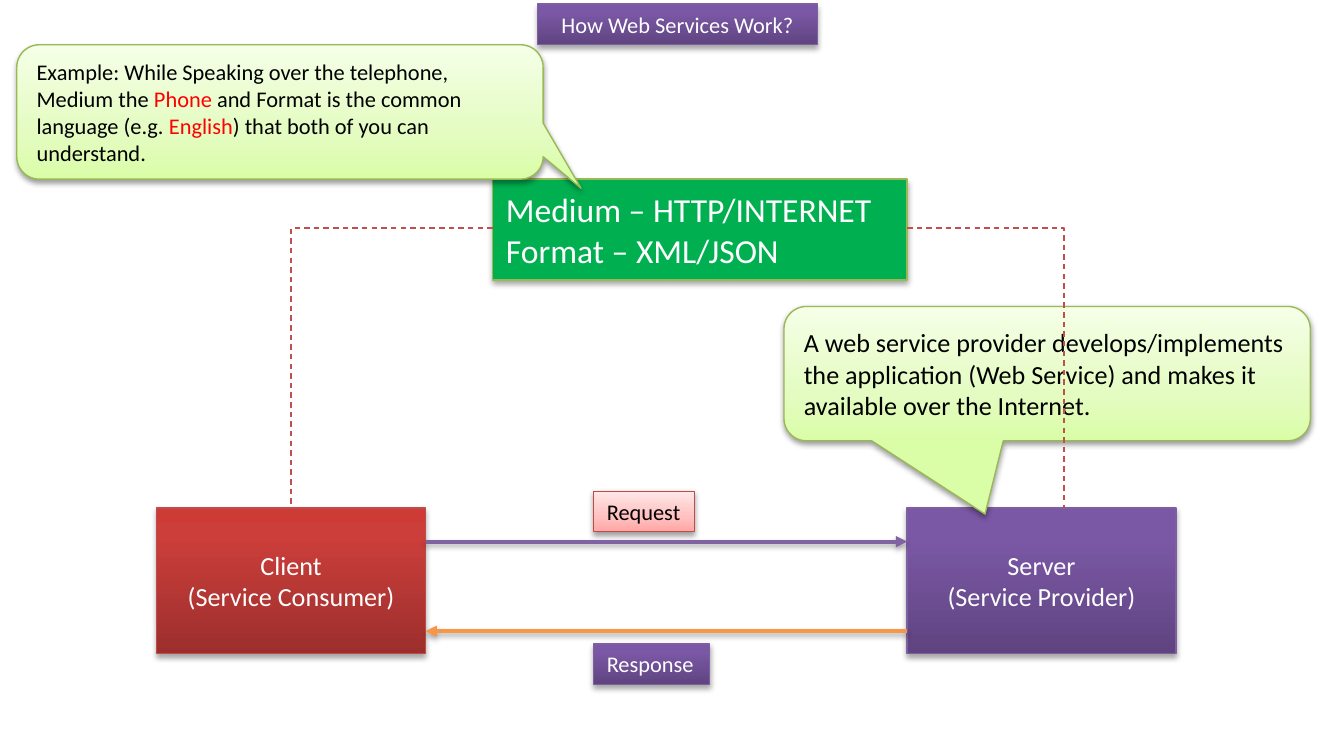
"""Build the "How Web Services Work?" diagram slide."""
import pptx
import pptx.util
from lxml import etree
from pptx.dml.color import RGBColor
from pptx.enum.dml import MSO_LINE
from pptx.enum.shapes import MSO_CONNECTOR, MSO_SHAPE
from pptx.enum.text import MSO_ANCHOR, MSO_AUTO_SIZE, PP_ALIGN
from pptx.oxml import parse_xml
from pptx.oxml.ns import nsdecls, qn

PX = 9525
COLORS = {
    "white": "FFFFFF", "black": "000000", "red": "FF0000",
    "violet": "8064A2", "orange": "F79646", "brick": "C0504D",
}
STYLES = {
    "purple": {"stops": [(0, "5F4480"), (80, "7B58A6"), (100, "7C57A8")],
               "line": "7D60A0", "text": "white", "shadow": (35, 1.8)},
    "red": {"stops": [(0, "9C2F2D"), (80, "CB3E3A"), (100, "CE3B37")],
            "line": "BF4C48", "text": "white", "shadow": (35, 1.8)},
    "pink": {"stops": [(0, "FFA6A5"), (35, "FFC0BF"), (100, "FFE7E7")],
             "line": "BF4C48", "text": "black", "shadow": (38, 1.6)},
    "lime": {"stops": [(0, "DAFDA7"), (35, "E4FCC2"), (100, "F5FFE7")],
             "line": "98B955", "text": "black", "shadow": (38, 1.6)},
    "green": {"solid": "00B050",
              "line": "98B955", "text": "white", "shadow": (35, 1.8)},
}
BOXES = [
    {"at": (384, 3, 200, 29), "style": "purple", "size": 12, "center": True, "fit": True,
     "text": [["How Web Services Work?"]]},
    {"at": (648, 363, 192, 104), "style": "purple", "size": 14, "center": True,
     "text": [["Server"], ["(Service Provider)"]]},
    {"at": (560, 219, 376, 96), "style": "lime", "size": 14, "tail": (-0.118, 1.046, 0.167),
     "text": [["A web service provider develops/implements the application "
               "(Web Service) and makes it available over the Internet."]]},
    {"at": (112, 363, 192, 104), "style": "red", "size": 14, "center": True,
     "text": [["Client"], ["(Service Consumer)"]]},
    {"at": (424, 351, 72, 29), "style": "pink", "size": 12, "fit": True, "wrap": False,
     "text": [["Request"]]},
    {"at": (424, 460, 83, 29), "style": "purple", "size": 12, "fit": True, "wrap": False,
     "text": [["Response"]]},
    {"at": (352, 128, 296, 72), "style": "green", "size": 18,
     "text": [["Medium – HTTP/INTERNET"], ["Format – XML/JSON"]]},
    {"at": (12, 32, 376, 96), "style": "lime", "size": 12, "tail": (0.572, 0.568, 0.167),
     "text": [["Example: While Speaking over the telephone, Medium the ", ("Phone", "red"),
               " and Format is the common language (e.g. ", ("English", "red"),
               ") that both of you can understand."]]},
]
ARROWS = [((304, 387), (648, 387), "violet"), ((648, 451), (304, 451), "orange")]
LINKS = [((352, 163), (208, 363)), ((648, 163), (760, 363))]


def rgb(value):
    return RGBColor.from_string(value)


def add_shadow(sp, alpha, dist):
    spPr = sp._element.spPr
    for old in spPr.findall(qn("a:effectLst")):
        spPr.remove(old)
    spPr.append(parse_xml(
        f'<a:effectLst {nsdecls("a")}><a:outerShdw blurRad="{round(3.1 * 12700)}" '
        f'dist="{round(dist * 12700)}" dir="5400000" rotWithShape="0"><a:srgbClr val="000000">'
        f'<a:alpha val="{alpha * 1000}"/></a:srgbClr></a:outerShdw></a:effectLst>'))


def set_fill(sp, style):
    if "solid" in style:
        sp.fill.solid()
        sp.fill.fore_color.rgb = rgb(style["solid"])
        return
    sp.fill.gradient()
    sp.fill.gradient_angle = 90
    gs_list = sp._element.spPr.find(qn("a:gradFill")).find(qn("a:gsLst"))
    for gs in list(gs_list):
        gs_list.remove(gs)
    for pos, color in style["stops"]:
        gs = etree.SubElement(gs_list, qn("a:gs"), pos=str(pos * 1000))
        etree.SubElement(gs, qn("a:srgbClr"), val=color)


def add_text(tf, box, color):
    tf.word_wrap = box.get("wrap", True)
    fit = box.get("fit", False)
    tf.auto_size = MSO_AUTO_SIZE.SHAPE_TO_FIT_TEXT if fit else MSO_AUTO_SIZE.NONE
    tf.vertical_anchor = MSO_ANCHOR.TOP if fit else MSO_ANCHOR.MIDDLE
    for i, runs in enumerate(box["text"]):
        p = tf.add_paragraph() if i else tf.paragraphs[0]
        p.alignment = PP_ALIGN.CENTER if box.get("center") else PP_ALIGN.LEFT
        for run in runs:
            text, name = (run, color) if isinstance(run, str) else run
            r = p.add_run()
            r.text = text
            r.font.name = "Calibri"
            r.font.size = pptx.util.Pt(box["size"])
            r.font.color.rgb = rgb(COLORS[name])


def add_box(s, box):
    style = STYLES[box["style"]]
    kind = MSO_SHAPE.ROUNDED_RECTANGULAR_CALLOUT if "tail" in box else MSO_SHAPE.RECTANGLE
    sp = s.shapes.add_shape(kind, *(v * PX for v in box["at"]))
    for i, value in enumerate(box.get("tail", ())):
        sp.adjustments[i] = value
    sp.shadow.inherit = False
    set_fill(sp, style)
    sp.line.color.rgb = rgb(style["line"])
    sp.line.width = pptx.util.Pt(0.75)
    add_shadow(sp, *style["shadow"])
    add_text(sp.text_frame, box, style["text"])


def add_line(s, kind, start, end, color, width):
    c = s.shapes.add_connector(kind, *(v * PX for v in start + end))
    c.line.color.rgb = rgb(COLORS[color])
    c.line.width = pptx.util.Pt(width)
    return c


def main():
    prs = pptx.Presentation()
    prs.slide_width, prs.slide_height = 960 * PX, 528 * PX
    s = prs.slides.add_slide(prs.slide_layouts[6])
    for box in BOXES:
        add_box(s, box)
    for start, end, color in ARROWS:
        c = add_line(s, MSO_CONNECTOR.STRAIGHT, start, end, color, 2)
        etree.SubElement(c.line._get_or_add_ln(), qn("a:tailEnd"), type="triangle")
        add_shadow(c, 38, 1.6)
    for start, end in LINKS:
        c = add_line(s, MSO_CONNECTOR.ELBOW, start, end, "brick", 0.75)
        c.line.dash_style = MSO_LINE.DASH
        spPr = c._element.spPr
        spPr.find(qn("a:prstGeom")).set("prst", "bentConnector2")
        etree.SubElement(spPr, qn("a:effectLst"))
    prs.save("out.pptx")


if __name__ == "__main__":
    main()
